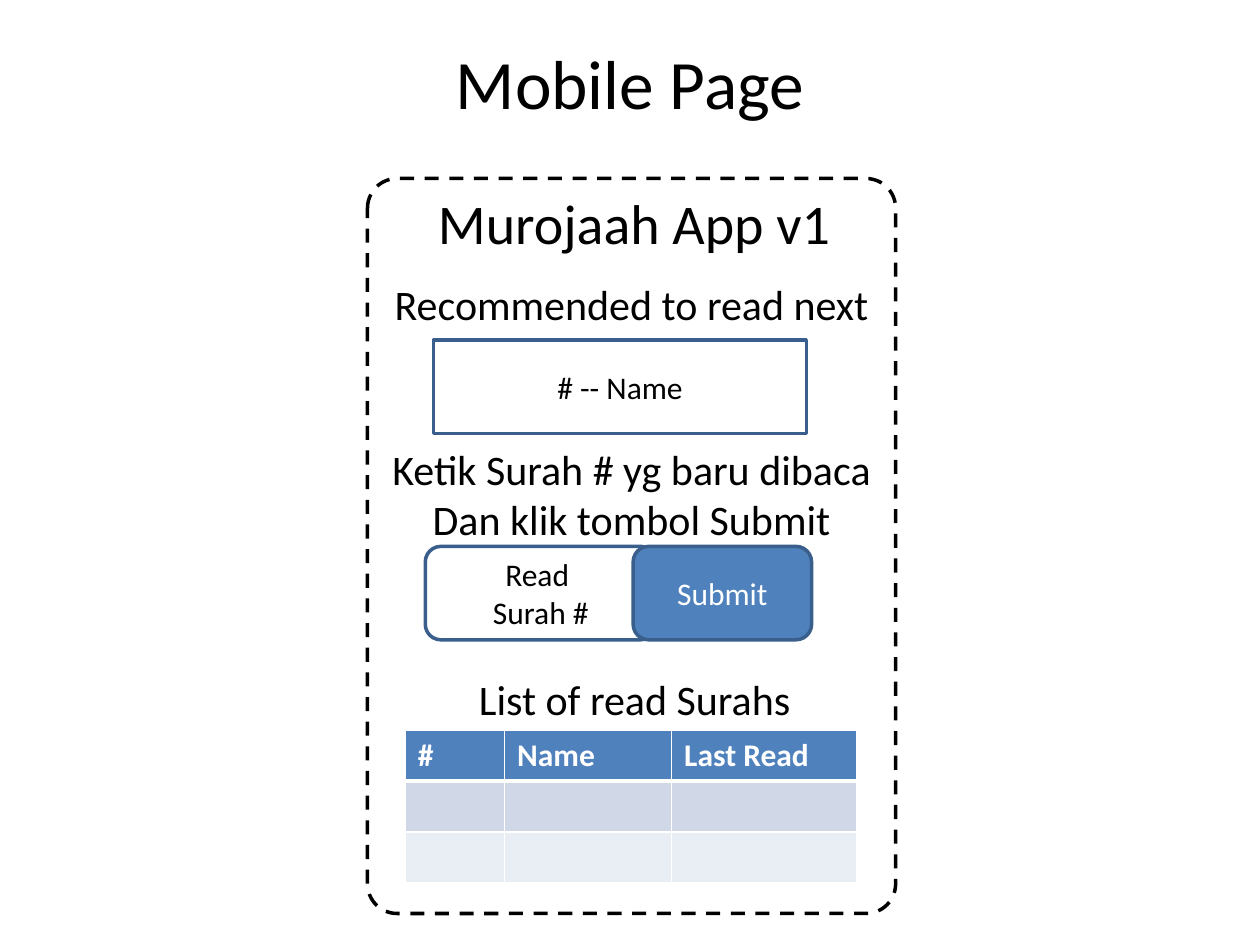
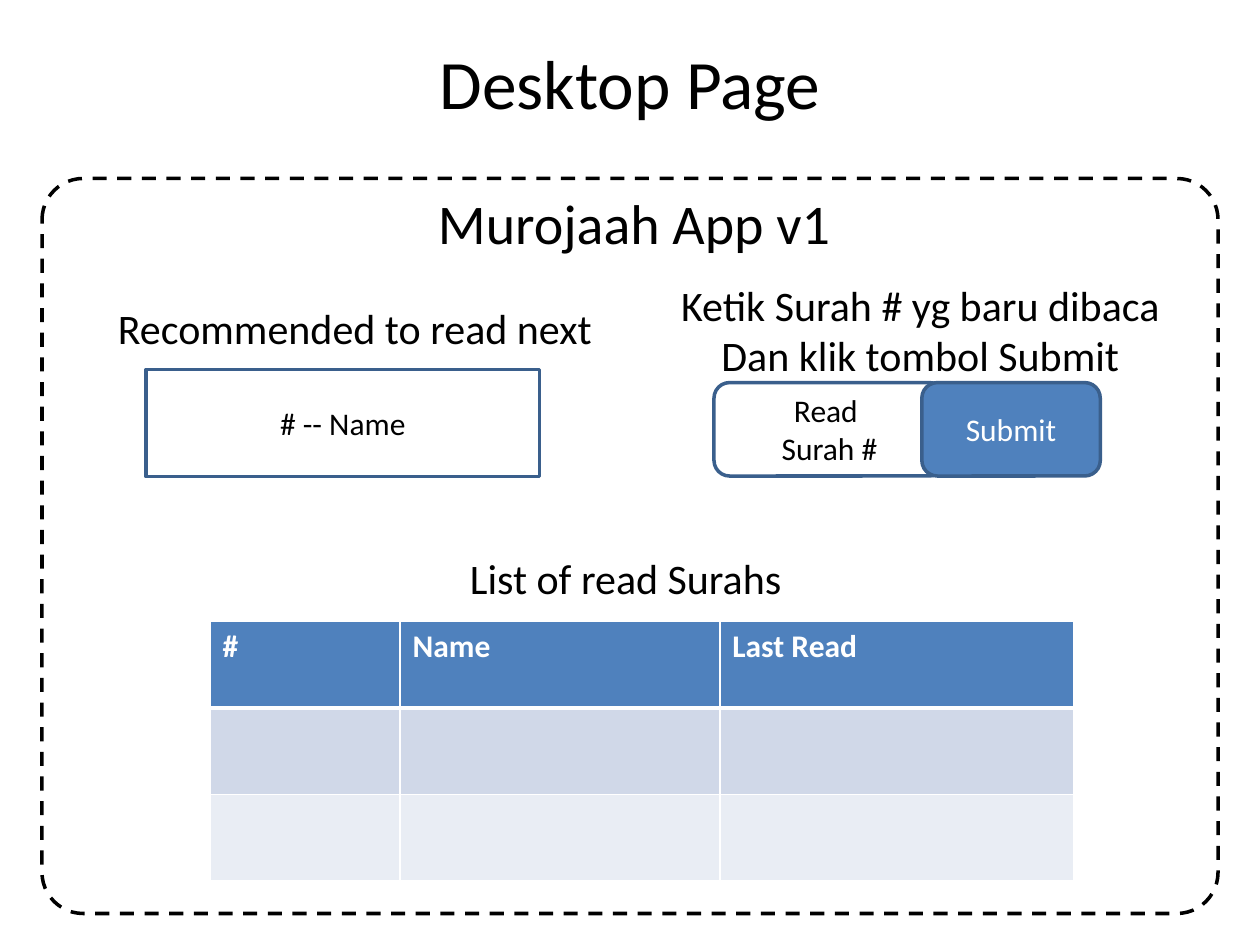
from lxml.etree import SubElement as Sub
from pptx import Presentation
from pptx.dml.color import RGBColor as RGB
from pptx.enum.dml import MSO_LINE as Dash
from pptx.enum.shapes import MSO_SHAPE as Form
from pptx.enum.text import MSO_ANCHOR as Anchor, MSO_AUTO_SIZE as Fit, PP_ALIGN as Align
from pptx.oxml.ns import qn
from pptx.util import Inches, Pt

# Shared style
BLACK = RGB(0x00, 0x00, 0x00)
WHITE = RGB(0xFF, 0xFF, 0xFF)
BLUE = RGB(0x4F, 0x81, 0xBD)
EDGE = RGB(0x3A, 0x5F, 0x8C)
BANDS = BLUE, RGB(0xD0, 0xD8, 0xE8), RGB(0xE9, 0xED, 0xF4)
FONT = "Calibri"
HEAD, SUB, LABEL, BODY = 39.6, 32, 24, 18

# Grid of 120 columns by 90 rows, each unit a twelfth of an inch
UNIT = Inches(1) / 12
BAR = 8.4      # height of a title or prompt
TOP = 17       # top row of the page frame
TALL = 70      # height of the page frame
WIDE = 50.3    # width of a phone page
FIELD = 8.9    # height of an input field


def grid(*vals):
    return [round(v * UNIT) for v in vals]


class Deck:
    def __init__(self):
        self.file = Presentation()
        self.file.slide_width, self.file.slide_height = grid(120, 90)

    def page(self, title):
        self.slide = self.file.slides.add_slide(self.file.slide_layouts[5])
        self.root = self.on = self.slide.shapes
        head = self.root.title
        head.left, head.top, head.width, head.height = grid(6, 3.6, 108, BAR)
        self.label(head, title, HEAD)

    def group(self):
        self.on = self.root.add_group_shape().shapes

    def ungroup(self):
        self.on = self.root

    def label(self, shape, text, size, color=BLACK):
        frame = shape.text_frame
        frame.word_wrap = True
        frame.auto_size = Fit.NONE
        frame.vertical_anchor = Anchor.MIDDLE
        frame.text = text
        for par in frame.paragraphs:
            par.alignment = Align.CENTER
            self.style(par, size, color)

    def style(self, par, size, color, bold=False):
        font = par.font
        font.name, font.size, font.bold = FONT, Pt(size), bold
        font.color.rgb = color

    def text(self, text, size, *area):
        self.label(self.on.add_textbox(*grid(*area)), text, size)

    def shape(self, form, area, edge=EDGE, fill=None):
        item = self.on.add_shape(form, *grid(*area))
        item.shadow.inherit = False
        if fill is None:
            item.fill.background()
        else:
            item.fill.solid()
            item.fill.fore_color.rgb = fill
        item.line.color.rgb = edge
        item.line.width = Pt(2)
        return item

    def frame(self, left, width):
        item = self.shape(Form.ROUNDED_RECTANGLE, (left, TOP, width, TALL), BLACK)
        item.adjustments[0] = 0.056
        item.line.dash_style = Dash.DASH
        self.text("Murojaah App v1", SUB, 6.4, TOP, 108, BAR)

    def form(self, left, top):
        """Prompt above an input field and its button."""
        self.group()
        row = top + 9.24
        field = self.shape(Form.ROUNDED_RECTANGLE, (left + 5.5, row, 22, FIELD))
        self.label(field, "Read \nSurah #", BODY)
        button = self.shape(Form.ROUNDED_RECTANGLE, (left + 25.3, row, 17, FIELD), fill=BLUE)
        self.label(button, "Submit", BODY, WHITE)
        self.text("Ketik Surah # yg baru dibaca\nDan klik tombol Submit",
                  LABEL, left, top, WIDE, BAR)
        self.ungroup()

    def advice(self, box, label):
        """Recommended chapter below its label."""
        self.group()
        self.label(self.shape(Form.RECTANGLE, box), "# -- Name", BODY)
        self.text("Recommended to read next", LABEL, *label)
        self.ungroup()

    def border(self, cell, low):
        props = cell._tc.get_or_add_tcPr()
        for spot, (side, wide) in enumerate(zip("LRTB", (1, 1, 1, low))):
            line = Sub(props, qn("a:ln" + side), w=str(Pt(wide)))
            Sub(Sub(line, qn("a:solidFill")), qn("a:srgbClr"), val=str(WHITE))
            props.insert(spot, line)

    def table(self, left, top, width, row, label):
        names = "#", "Name", "Last Read"
        table = self.on.add_table(len(BANDS), len(names),
                                  *grid(left, top, width, row * len(BANDS))).table
        for col, share in zip(table.columns, (0.22, 0.37, 0.41)):
            col.width = round(width * share * UNIT)
        for line, band in enumerate(BANDS):
            for col, name in enumerate(names):
                cell = table.cell(line, col)
                cell.fill.solid()
                cell.fill.fore_color.rgb = band
                self.border(cell, 1 if line else 3)
                if not line:
                    cell.text = name
                    self.style(cell.text_frame.paragraphs[0], BODY, WHITE, True)
        self.text("List of read Surahs", LABEL, *label)


deck = Deck()

# Phone: everything in one column
deck.page("Mobile Page")
deck.frame(35, WIDE)
deck.form(35, 42.8)
deck.advice((41.3, 32.4, 35.5, FIELD), (35, 25.4, WIDE, 7))
deck.table(38.6, 69.5, 43, 4.44, (35.3, 63, WIDE, 7))

# Desktop: two columns above a wide table
deck.page("Desktop Page")
deck.frame(4, 112)
deck.form(62.5, 27.2)
deck.advice((13.9, 35.2, 37.5, 10.2), (7.3, 27.2, 53, 8))
deck.table(20, 59.2, 82.3, 8.24, (17.6, 52, 84, 6))

deck.file.save("out.pptx")
